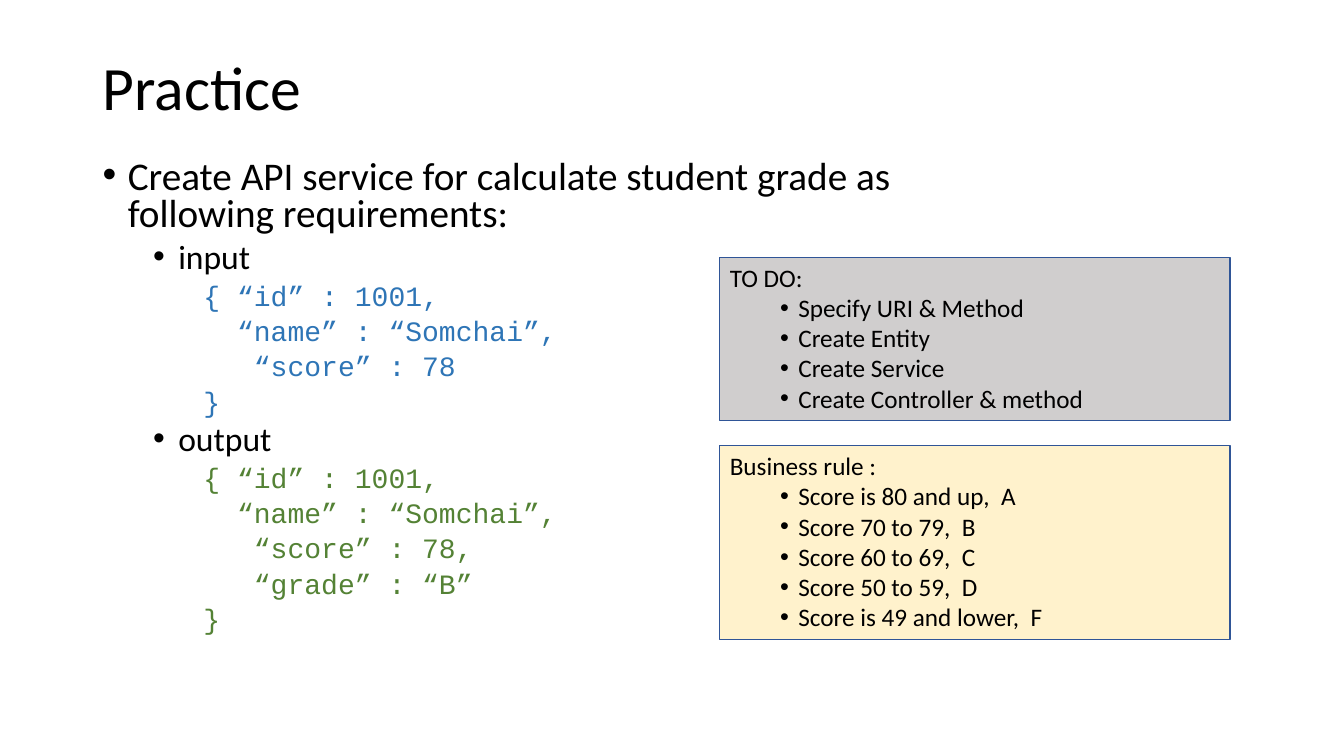
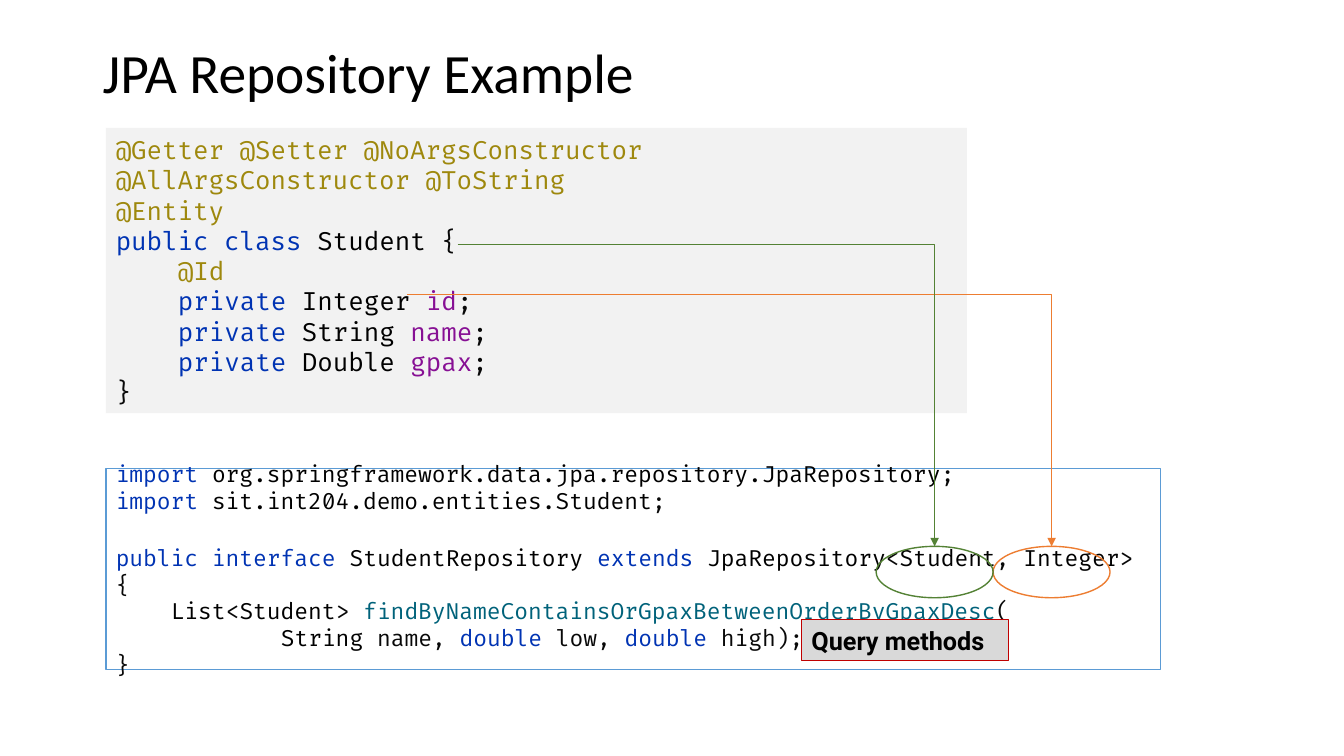
from lxml import etree
from pptx import Presentation
from pptx.dml.color import RGBColor
from pptx.enum.shapes import MSO_CONNECTOR, MSO_SHAPE
from pptx.enum.text import MSO_ANCHOR, PP_ALIGN
from pptx.oxml.ns import qn
from pptx.util import Inches, Pt

RECT, OVAL = MSO_SHAPE.RECTANGLE, MSO_SHAPE.OVAL
ELBOW = MSO_CONNECTOR.ELBOW
TOP, MIDDLE = MSO_ANCHOR.TOP, MSO_ANCHOR.MIDDLE
LEFT = PP_ALIGN.LEFT

SANS, MONO, CODE, LABEL = "Calibri", "Courier New", "Fira Code", "Roboto"
BLACK, WHITE = "000000", "FFFFFF"
BLUE, GREEN, ORANGE, NAVY = "2E75B6", "548235", "ED7D31", "2F5597"
KEYWORD, NOTE, FIELD, METHOD, PLAIN = "0033B3", "9E880D", "871094", "00627A", "080808"

INPUT = ["{ “id” : 1001,", "  “name” : “Somchai”,", "   “score” : 78", "}"]
OUTPUT = ["{ “id” : 1001,", "  “name” : “Somchai”,", "   “score” : 78,", "   “grade” : “B”", "}"]
TODO = ["Specify URI & Method", "Create Entity", "Create Service", "Create Controller & method"]
RULES = ["Score is 80 and up,  A", "Score 70 to 79,  B", "Score 60 to 69,  C",
         "Score 50 to 59,  D", "Score is 49 and lower,  F"]

ENTITY = [
    ("@Getter @Setter @NoArgsConstructor\n@AllArgsConstructor @ToString\n@Entity\n", NOTE),
    ("public class ", KEYWORD), ("Student ", BLACK), ("{\n    ", PLAIN), ("@Id\n    ", NOTE),
    ("private ", KEYWORD), ("Integer ", BLACK), ("id", FIELD), (";\n    ", PLAIN),
    ("private ", KEYWORD), ("String ", BLACK), ("name", FIELD), (";\n    ", PLAIN),
    ("private ", KEYWORD), ("Double ", BLACK), ("gpax", FIELD), (";\n}", PLAIN),
]
REPOSITORY = [
    ("import ", KEYWORD), ("org.springframework.data.jpa.repository.JpaRepository", BLACK),
    (";\n", PLAIN),
    ("import ", KEYWORD), ("sit.int204.demo.entities.Student", BLACK), (";\n\n", PLAIN),
    ("public interface ", KEYWORD), ("StudentRepository ", BLACK), ("extends ", KEYWORD),
    ("JpaRepository", BLACK), ("<", PLAIN), ("Student", BLACK), (", ", PLAIN),
    ("Integer", BLACK), ("> {\n    ", PLAIN),
    ("List", BLACK), ("<", PLAIN), ("Student", BLACK), ("> ", PLAIN),
    ("findByNameContainsOrGpaxBetweenOrderByGpaxDesc", METHOD), ("(\n            ", PLAIN),
    ("String ", BLACK), ("name, ", PLAIN), ("double ", KEYWORD), ("low, ", PLAIN),
    ("double ", KEYWORD), ("high);\n}", PLAIN),
]


def rgb(color):
    return RGBColor.from_string(color)


def add_run(p, text, size, font=SANS, color=BLACK, bold=False):
    for i, part in enumerate(text.split("\n")):
        if i:
            p.add_line_break()
        if part:
            r = p.add_run()
            r.text = part
            r.font.size = Pt(size)
            r.font.name = font
            r.font.bold = bold
            r.font.color.rgb = rgb(color)


def next_paragraph(tf):
    p = tf.paragraphs[0]
    if p.runs:
        p = tf.add_paragraph()
    p.alignment = LEFT
    return p


def indent(p, left, hanging=0, bullet=False):
    pPr = p._p.get_or_add_pPr()
    pPr.set("marL", str(Inches(left)))
    pPr.set("indent", str(Inches(-hanging)))
    if bullet:
        etree.SubElement(pPr, qn("a:buFont")).set("typeface", "Arial")
        etree.SubElement(pPr, qn("a:buChar")).set("char", "•")


def add_text(s, box, anchor=TOP):
    sp = s.shapes.add_textbox(*map(Inches, box))
    tf = sp.text_frame
    tf.word_wrap = True
    tf.vertical_anchor = anchor
    return tf


def add_box(s, kind, box, fill=None, line=None, width=0.75, anchor=TOP):
    sp = s.shapes.add_shape(kind, *map(Inches, box))
    sp.shadow.inherit = False
    if fill:
        sp.fill.solid()
        sp.fill.fore_color.rgb = rgb(fill)
    else:
        sp.fill.background()
    if line:
        sp.line.color.rgb = rgb(line)
        sp.line.width = Pt(width)
    else:
        sp.line.fill.background()
    tf = sp.text_frame
    tf.word_wrap = True
    tf.vertical_anchor = anchor
    return tf


def add_title(s, text, height, size):
    p = next_paragraph(add_text(s, (0.92, 0.4, 11.5, height), MIDDLE))
    p.line_spacing = 0.9
    add_run(p, text, size)


def add_requirements(s, box):
    tf = add_text(s, box)

    def line(text, size, before, left, hanging=0, font=SANS, color=BLACK):
        p = next_paragraph(tf)
        p.line_spacing = 0.8
        p.space_before = Pt(before)
        indent(p, left, hanging, hanging > 0)
        add_run(p, text, size, font, color)

    line("Create API service for calculate student grade as following requirements:",
         28, 10, 0.25, 0.25)
    for name, rows, color in (("input", INPUT, BLUE), ("output", OUTPUT, GREEN)):
        line(name, 24, 6, 0.75, 0.25)
        for row in rows:
            line(row, 20, 6, 1, font=MONO, color=color)


def add_panel(s, box, heading, items, fill):
    tf = add_box(s, RECT, box, fill, NAVY)
    add_run(next_paragraph(tf), heading, 18)
    for item in items:
        p = next_paragraph(tf)
        indent(p, 0.68, 0.18, True)
        add_run(p, item, 18)


def add_code(s, box, tokens, size, fill, line=None):
    tf = add_box(s, RECT, box, fill, line, 1, MIDDLE)
    p = next_paragraph(tf)
    for text, color in tokens:
        add_run(p, text, size, CODE, color)


def add_type_link(s, box, start, color):
    add_box(s, OVAL, box, line=color, width=1)
    left, top, width, _ = box
    c = s.shapes.add_connector(ELBOW, *map(Inches, (*start, left + width / 2, top)))
    c.line.color.rgb = rgb(color)
    c.line.width = Pt(0.5)
    spPr = c._element.spPr
    spPr.find(qn("a:prstGeom")).set("prst", "bentConnector2")
    etree.SubElement(spPr.find(qn("a:ln")), qn("a:tailEnd")).set("type", "triangle")
    etree.SubElement(spPr, qn("a:effectLst"))


def add_label(s, box, text):
    tf = add_box(s, RECT, box, "D9D9D9", "C00000")
    tf.word_wrap = False
    add_run(next_paragraph(tf), text, 18, LABEL, bold=True)


def practice_slide(s):
    add_title(s, "Practice", 0.99, 44)
    add_requirements(s, (0.92, 1.54, 8.6, 4.76))
    add_panel(s, (7.14, 2.55, 5.06, 1.62), "TO DO:", TODO, "D0CECE")
    add_panel(s, (7.14, 4.42, 5.06, 1.92), "Business rule :", RULES, "FFF2CC")


def repository_slide(s):
    add_title(s, "JPA Repository Example", 0.69, 39.6)
    add_code(s, (1.05, 1.27, 8.54, 2.83), ENTITY, 18, "F2F2F2")
    add_code(s, (1.05, 4.65, 10.46, 1.99), REPOSITORY, 16, WHITE, "5B9BD5")
    left, width = 8.69, 1.16
    add_type_link(s, (left + width, 5.42, width, 0.51), (4.04, 2.92), ORANGE)
    add_type_link(s, (left, 5.42, width, 0.51), (4.54, 2.42), GREEN)
    add_label(s, (7.95, 6.15, 2.05, 0.4), "Query methods")


def main():
    prs = Presentation()
    prs.slide_width, prs.slide_height = Inches(13.33), Inches(7.5)
    for build in (practice_slide, repository_slide):
        build(prs.slides.add_slide(prs.slide_layouts[6]))
    prs.save("out.pptx")


if __name__ == "__main__":
    main()
